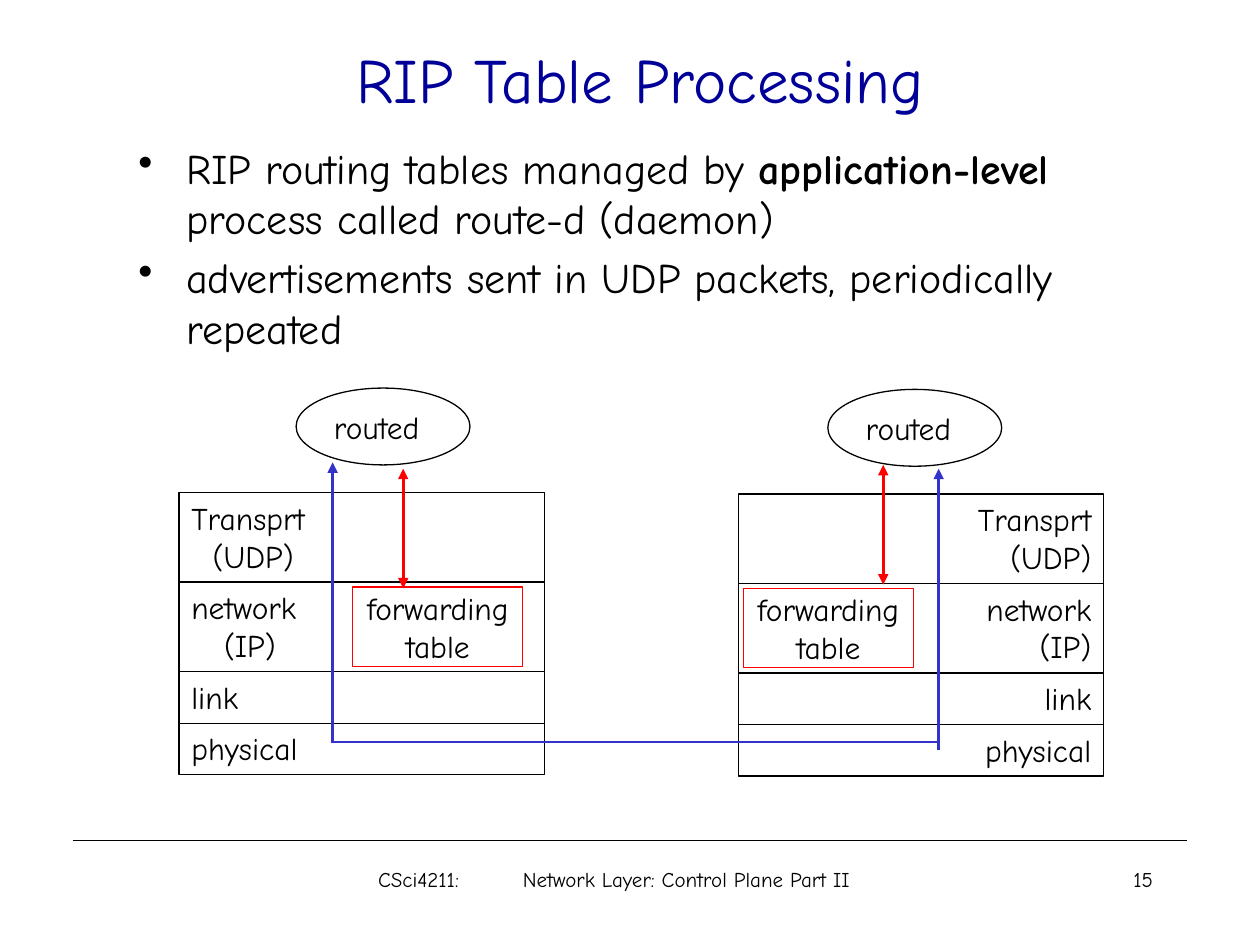
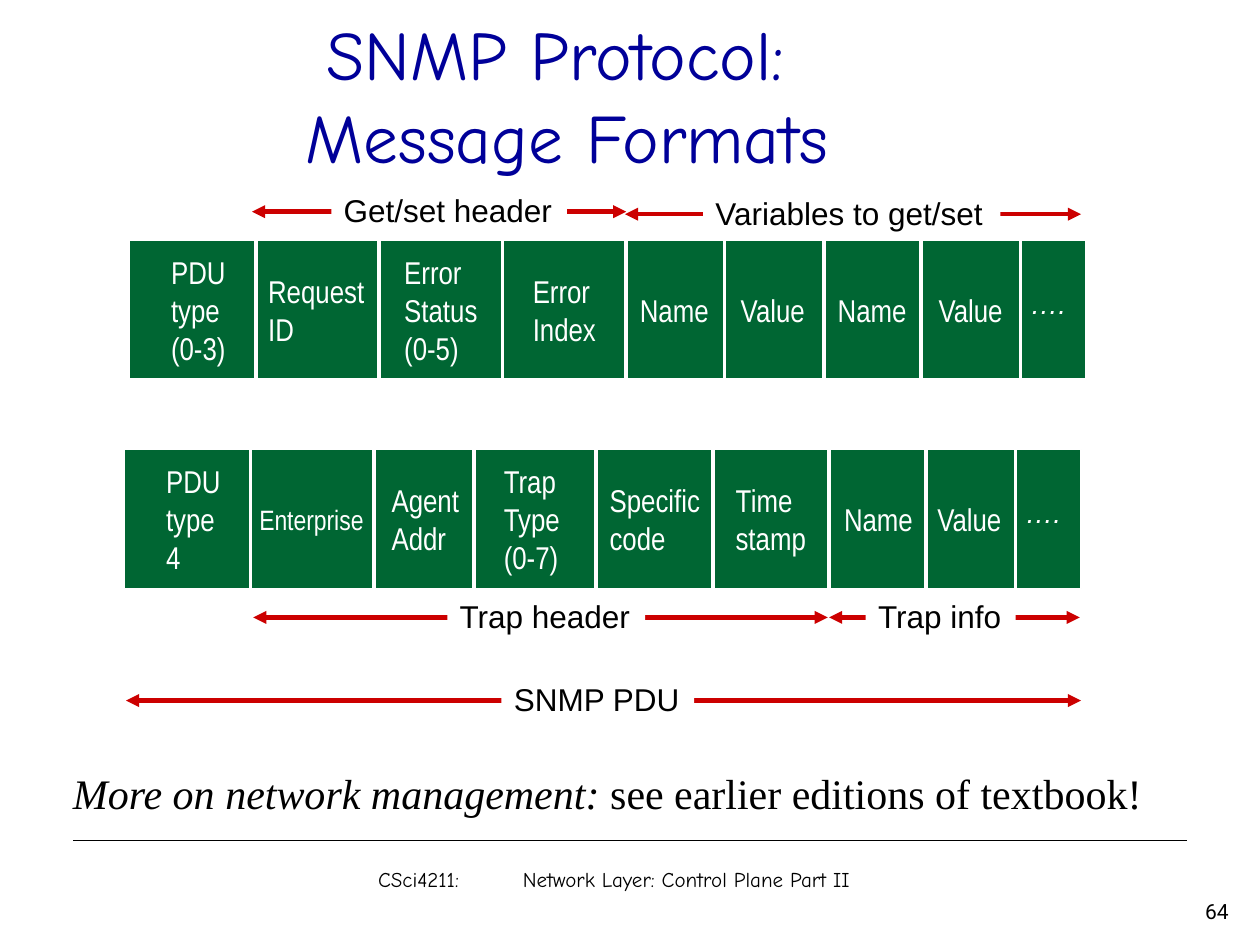
from lxml import etree
from pptx import Presentation
from pptx.dml.color import RGBColor
from pptx.enum.shapes import MSO_CONNECTOR, MSO_SHAPE
from pptx.enum.text import MSO_ANCHOR, PP_ALIGN
from pptx.oxml.ns import qn
from pptx.util import Inches, Pt

BLACK, WHITE, NAVY = "000000", "FFFFFF", "000099"
RED, BLUE, GREEN, DARK_RED = "FF0000", "3333CC", "006633", "CC0000"
HAND, SANS, NARROW, SERIF = "Comic Neue", "Arial", "Arial Narrow", "Times New Roman"
LEFT, CENTER, RIGHT = PP_ALIGN.LEFT, PP_ALIGN.CENTER, PP_ALIGN.RIGHT

# Protocol layers: text lines, left indents of those lines, height
LAYERS = [
    (["Transprt", "(UDP)"], [0, 0.17], 0.71),
    (["network", "(IP)"], [0, 0.26], 0.71),
    (["link"], [0], 0.41),
    (["physical"], [0], 0.41),
]

# Message fields: right edge of the field, left and width of the label, text
REQUEST_FIELDS = [
    (2.03, 1.26, 0.64, "PDU|type|(0-3)"),
    (3.01, 2.03, 0.97, "Request|ID"),
    (3.99, 3.11, 0.79, "Error|Status|(0-5)"),
    (4.97, 4.13, 0.71, "Error|Index"),
    (5.75, 4.98, 0.76, "Name"),
    (6.54, 5.78, 0.72, "Value"),
    (7.31, 6.55, 0.75, "Name"),
    (8.1, 7.35, 0.72, "Value"),
]
TRAP_FIELDS = [
    (1.99, 1.22, 0.64, "PDU|type|4"),
    (2.97, 1.96, 1.04, "Enterprise"),
    (3.76, 3.01, 0.74, "Agent|Addr"),
    (4.73, 3.9, 0.65, "Trap|Type|(0-7)"),
    (5.66, 4.74, 0.93, "Specific|code"),
    (6.58, 5.74, 0.77, "Time|stamp"),
    (7.35, 6.6, 0.75, "Name"),
    (8.06, 7.34, 0.72, "Value"),
]

# Labelled spans: start, end, height on the slide, label left, label width, text
SPANS = [
    (2, 4.97, 1.68, 2.63, 1.87, "Get/set header"),
    (4.96, 8.58, 1.7, 5.58, 2.36, "Variables to get/set"),
    (2.01, 6.57, 4.9, 3.55, 1.57, "Trap header"),
    (6.58, 8.57, 4.9, 6.87, 1.19, "Trap info"),
    (1, 8.58, 5.56, 3.98, 1.53, "SNMP PDU"),
]


def color(value):
    return RGBColor.from_string(value)


# Basic elements
def write(shape, paragraphs, size=18, font=HAND, ink=BLACK, align=LEFT,
          anchor=MSO_ANCHOR.TOP, wrap=True):
    """Fill a shape with paragraphs, each a string or a list of (text, style) runs."""
    frame = shape.text_frame
    frame.word_wrap = wrap
    frame.vertical_anchor = anchor
    for index, runs in enumerate(paragraphs):
        paragraph = frame.paragraphs[0] if index == 0 else frame.add_paragraph()
        paragraph.alignment = align
        for text, style in [(runs, {})] if isinstance(runs, str) else runs:
            if text == "\n":
                paragraph.add_line_break()
                continue
            run = paragraph.add_run()
            run.text = text
            run.font.size = Pt(size)
            run.font.name = font
            run.font.color.rgb = color(ink)
            run.font.bold = style.get("bold", False)
            run.font.italic = style.get("italic", False)
    return frame


def add_text(slide, box, paragraphs, **style):
    text_box = slide.shapes.add_textbox(*map(Inches, box))
    return write(text_box, paragraphs, **style)


def add_box(slide, box, fill=None, line=None, kind=MSO_SHAPE.RECTANGLE):
    shape = slide.shapes.add_shape(kind, *map(Inches, box))
    shape.shadow.inherit = False
    if fill:
        shape.fill.solid()
        shape.fill.fore_color.rgb = color(fill)
    else:
        shape.fill.background()
    if line:
        shape.line.color.rgb = color(line)
        shape.line.width = Pt(0.75)
    else:
        shape.line.fill.background()
    return shape


def add_line(slide, start, end, ink, width, arrows=()):
    """Draw a straight line; arrows names its ends, headEnd before tailEnd."""
    points = map(Inches, (*start, *end))
    connector = slide.shapes.add_connector(MSO_CONNECTOR.STRAIGHT, *points)
    connector.line.color.rgb = color(ink)
    connector.line.width = Pt(width)
    outline = connector.line._get_or_add_ln()
    for arrow in arrows:
        etree.SubElement(outline, qn(f"a:{arrow}"), type="triangle")
    etree.SubElement(connector._element.spPr, qn("a:effectLst"))


def set_indent(paragraph, margin, first=0):
    properties = paragraph._p.get_or_add_pPr()
    properties.set("marL", str(Inches(margin)))
    properties.set("indent", str(Inches(first)))
    return properties


# Parts shared by the slides
def add_base(presentation, title, title_box, title_size):
    slide = presentation.slides.add_slide(presentation.slide_layouts[6])
    add_line(slide, (0.58, 6.67), (9.42, 6.67), BLACK, 0.75)
    add_text(slide, title_box, [title], size=title_size, ink=NAVY,
             align=CENTER, anchor=MSO_ANCHOR.MIDDLE)
    footer = add_text(slide, (2.58, 6.83, 4.58, 0.33),
                      ["CSci4211:\tNetwork Layer: Control Plane Part II"], size=12)
    footer.margin_left = Inches(0.42)
    properties = footer.paragraphs[0]._p.get_or_add_pPr()
    tabs = etree.SubElement(properties, qn("a:tabLst"))
    etree.SubElement(tabs, qn("a:tab"), pos=str(Inches(1.15)), algn="l")
    return slide


def add_bullets(slide, box, paragraphs):
    frame = add_text(slide, box, paragraphs, size=24)
    for paragraph in frame.paragraphs:
        paragraph.space_before = Pt(5)
        properties = set_indent(paragraph, 0.38, -0.38)
        etree.SubElement(properties, qn("a:buChar"), char="•")


# Protocol stack of one router
def add_stack(slide, left, top, align, table_left, process_left):
    layer_top = top
    for lines, indents, height in LAYERS:
        layer = add_box(slide, (left, layer_top, 2.9, height), line=BLACK)
        frame = write(layer, lines, align=align)
        if align == LEFT:
            for paragraph, indent in zip(frame.paragraphs, indents):
                set_indent(paragraph, indent)
        layer_top += height
    table = add_box(slide, (table_left, top + 0.75, 1.35, 0.63), line=RED)
    write(table, ["forwarding", "table"], align=CENTER,
          anchor=MSO_ANCHOR.MIDDLE, wrap=False)
    process = add_box(slide, (process_left, top - 0.83, 1.38, 0.61),
                      line=BLACK, kind=MSO_SHAPE.OVAL)
    frame = write(process, ["routed"], align=CENTER,
                  anchor=MSO_ANCHOR.MIDDLE, wrap=False)
    frame.margin_right = Inches(0.2)


# Message row and its spans
def add_message(slide, left, top, fields):
    width, height = 7.59, 1.1
    add_box(slide, (left, top, width, height), fill=GREEN, line=WHITE)
    for edge, label_left, label_width, label in fields:
        add_line(slide, (edge, top), (edge, top + height), WHITE, 2)
        add_text(slide, (label_left, top, label_width, height), label.split("|"),
                 size=16 if label == "Enterprise" else 18, font=NARROW, ink=WHITE,
                 anchor=MSO_ANCHOR.MIDDLE, wrap=False)
    dots = add_text(slide, (left + width - 0.54, top, 0.54, height),
                    [[("….", {"italic": True})]], size=16, font=SANS, ink=WHITE,
                    anchor=MSO_ANCHOR.MIDDLE, wrap=False)
    dots.paragraphs[0].line_spacing = Pt(12)


def add_span(slide, start, end, y, label_left, label_width, label):
    add_line(slide, (start, y), (end, y), DARK_RED, 2.5, ("headEnd", "tailEnd"))
    box = add_box(slide, (label_left, y - 0.21, label_width, 0.4), fill=WHITE)
    write(box, [label], font=SANS, wrap=False)


# Slides
def add_rip_slide(presentation):
    slide = add_base(presentation, "RIP Table Processing", (0.83, 0, 8.5, 1.25), 36)
    add_text(slide, (7.17, 6.83, 2.08, 0.5), ["15"], size=12, align=RIGHT)
    add_bullets(slide, (1, 1.08, 8.5, 1.8), [
        [("RIP routing tables managed by ", {}),
         ("application-level", {"bold": True}),
         (" process called route-d (daemon)", {})],
        "advertisements sent in UDP packets, periodically repeated",
    ])
    add_stack(slide, 1.42, 3.91, LEFT, table_left=2.8, process_left=2.35)
    add_stack(slide, 5.86, 3.92, RIGHT, table_left=5.9, process_left=6.57)
    # Advertisement route between the two processes
    add_line(slide, (2.64, 5.9), (2.64, 3.67), BLUE, 1.5, ("tailEnd",))
    add_line(slide, (7.45, 5.95), (7.45, 3.72), BLUE, 1.5, ("tailEnd",))
    add_line(slide, (2.64, 5.89), (7.46, 5.89), BLUE, 1.5)
    # Exchange between each process and its table
    for x, top in [(3.2, 3.72), (7.01, 3.69)]:
        add_line(slide, (x, top), (x, top + 0.95), RED, 1.5, ("headEnd", "tailEnd"))


def add_snmp_slide(presentation):
    title = [("SNMP Protocol: ", {}), ("\n", {}), ("Message Formats", {})]
    slide = add_base(presentation, title, (0.25, 0.29, 8.5, 0.91), 39.6)
    add_text(slide, (9.25, 7.08, 0.6, 0.3), ["64"], size=12, font="Roboto", align=RIGHT)
    add_message(slide, 1.03, 1.91, REQUEST_FIELDS)
    add_message(slide, 0.99, 3.57, TRAP_FIELDS)
    for span in SPANS:
        add_span(slide, *span)
    add_text(slide, (0.48, 6.04, 8.76, 0.51), [[
        ("More on network management: ", {"italic": True}),
        ("see earlier editions of textbook!", {}),
    ]], size=24, font=SERIF, wrap=False)


def main():
    presentation = Presentation()
    presentation.slide_width = Inches(10)
    presentation.slide_height = Inches(7.5)
    add_rip_slide(presentation)
    add_snmp_slide(presentation)
    presentation.save("out.pptx")


if __name__ == "__main__":
    main()
